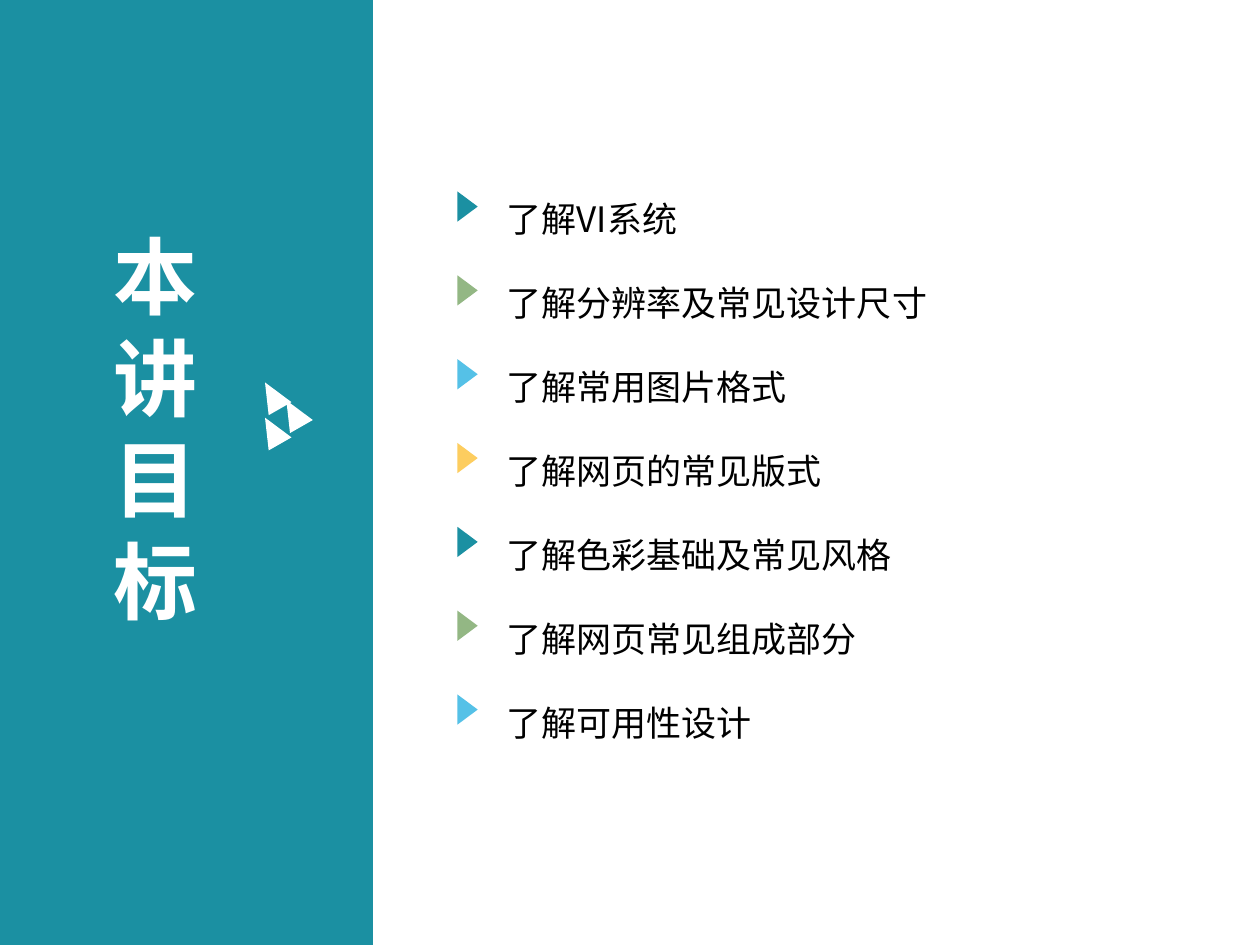
from pptx import Presentation
from pptx.dml.color import RGBColor
from pptx.enum.shapes import MSO_SHAPE as Shape
from pptx.enum.text import MSO_ANCHOR as Anchor, PP_ALIGN as Align
from pptx.util import Cm, Pt

TITLE = "本讲目标"
GOALS = [
    ("了解VI系统", "teal"),
    ("了解分辨率及常见设计尺寸", "green"),
    ("了解常用图片格式", "blue"),
    ("了解网页的常见版式", "yellow"),
    ("了解色彩基础及常见风格", "teal"),
    ("了解网页常见组成部分", "green"),
    ("了解可用性设计", "blue"),
]
ARROW_PARTS = [(5.23, 7.67), (5.23, 8.38), (5.66, 8.03)]
COLORS = {
    "teal": "1B90A2", "green": "93B784", "blue": "55C1E7",
    "yellow": "FDCD5F", "white": "FFFFFF", "black": "000000",
}
FONT = "Noto Sans CJK SC"
MARK_TOP, MARK_STEP = 3.96, 1.69


def add_filled(s, kind, box, color, rotation=0):
    """Add a borderless preset shape, with its box given in centimetres."""
    sp = s.shapes.add_shape(kind, *map(Cm, box))
    sp.shadow.inherit = False
    sp.fill.solid()
    sp.fill.fore_color.rgb = RGBColor.from_string(COLORS[color])
    sp.line.fill.background()
    sp.rotation = rotation
    return sp


def write(sp, lines, size, spacing, color, bold=False):
    """Fill a text frame with one paragraph per line."""
    tf = sp.text_frame
    tf.word_wrap = True
    tf.vertical_anchor = Anchor.TOP
    tf.text = "\n".join(lines)
    for p in tf.paragraphs:
        p.alignment = Align.LEFT
        p.line_spacing = Pt(spacing)
        p.space_before = Pt(0)
        p.font.name = FONT
        p.font.size = Pt(size)
        p.font.bold = bold
        p.font.color.rgb = RGBColor.from_string(COLORS[color])


def main():
    """Build the lesson goals slide."""
    prs = Presentation()
    prs.slide_width, prs.slide_height = Cm(25.4), Cm(19.05)
    s = prs.slides.add_slide(prs.slide_layouts[5])

    panel = add_filled(s, Shape.RECTANGLE, (0, 0, 7.52, 19.05), "teal")
    title = s.shapes.title
    title._element.addprevious(panel._element)
    title.left, title.top, title.width, title.height = map(Cm, (2.03, 4.39, 3.33, 8.46))
    write(title, [TITLE], 48, 58, "white", bold=True)

    for left, top in ARROW_PARTS:
        add_filled(s, Shape.ISOSCELES_TRIANGLE, (left, top, 0.53, 0.61), "white", 330.2)

    goals = s.shapes.add_textbox(*map(Cm, (9.96, 3.02, 14.02, 12.22)))
    write(goals, [text for text, _ in GOALS], 20, 48, "black")
    for i, (_, color) in enumerate(GOALS):
        box = (9.12, MARK_TOP + i * MARK_STEP, 0.61, 0.41)
        add_filled(s, Shape.ISOSCELES_TRIANGLE, box, color, 90)

    prs.save("out.pptx")


if __name__ == "__main__":
    main()
